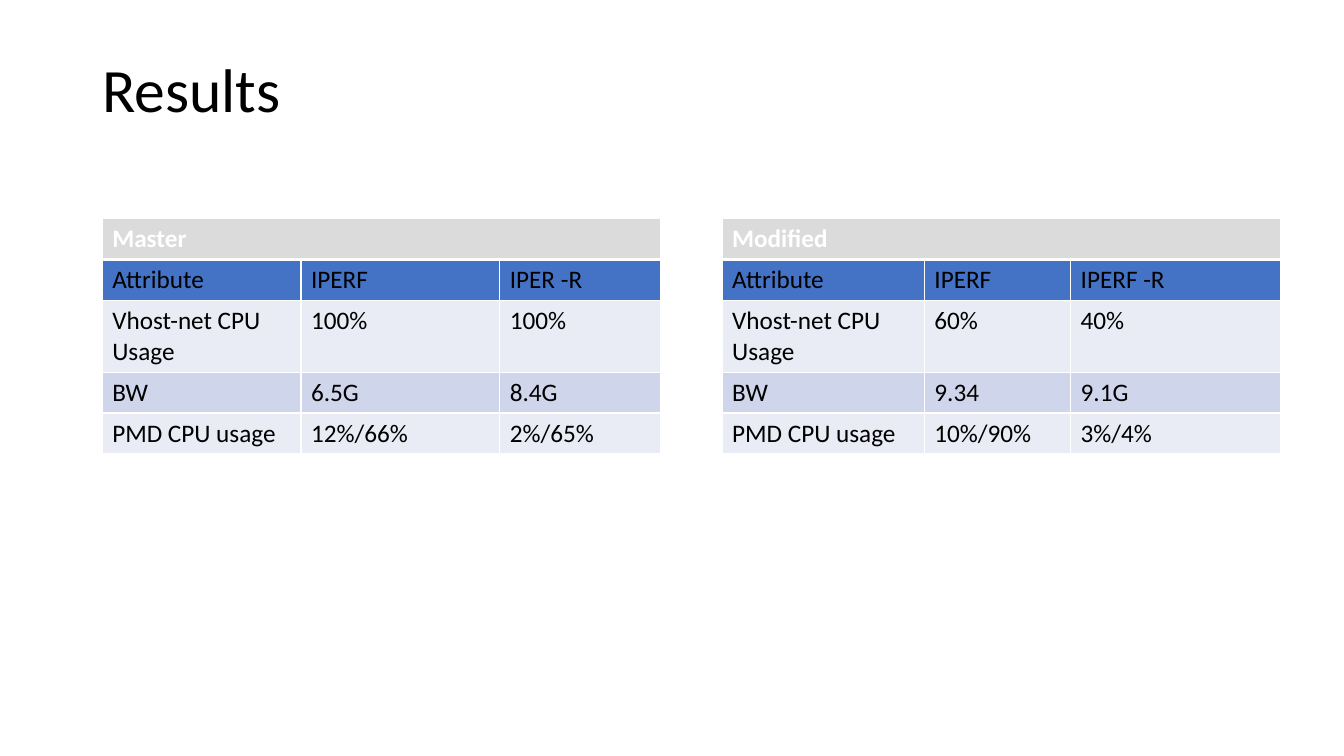
from pptx import Presentation
from pptx.dml.color import RGBColor
from pptx.enum.text import MSO_ANCHOR, PP_ALIGN
from pptx.oxml.ns import qn
from pptx.util import Pt
from lxml import etree

MIDDLE = MSO_ANCHOR.MIDDLE
LEFT = PP_ALIGN.LEFT
FONT = "Calibri"
WHITE, BLACK = "FFFFFF", "000000"
ROW_FILLS = ["DBDBDB", "4472C4", "E9EBF5", "CFD5EA", "E9EBF5"]
ROW_HEIGHTS = [29.2, 29.2, 51.2, 29.2, 29.2]
TABLE_TOP = 156.24

MASTER = [
    ["Master", "", ""],
    ["Attribute", "IPERF", "IPER -R"],
    ["Vhost-net CPU Usage", "100%", "100%"],
    ["BW", "6.5G", "8.4G"],
    ["PMD CPU usage", "12%/66%", "2%/65%"],
]
MODIFIED = [
    ["Modified", "", ""],
    ["Attribute", "IPERF", "IPERF -R"],
    ["Vhost-net CPU Usage", "60%", "40%"],
    ["BW", "9.34", "9.1G"],
    ["PMD CPU usage", "10%/90%", "3%/4%"],
]


def color(hex_code):
    return RGBColor.from_string(hex_code)


def add_run(paragraph, text, size, hex_code, bold=False):
    run = paragraph.add_run()
    run.text = text
    run.font.name = FONT
    run.font.size = Pt(size)
    run.font.bold = bold
    run.font.color.rgb = color(hex_code)


def set_borders(cell, widths):
    properties = cell._tc.get_or_add_tcPr()
    for side, width in zip("LRTB", widths):
        line = etree.SubElement(properties, qn(f"a:ln{side}"), w=str(Pt(width)))
        solid = etree.SubElement(line, qn("a:solidFill"))
        etree.SubElement(solid, qn("a:srgbClr"), val=WHITE)


def add_title(slide, left, top, width, height):
    title = slide.shapes.title
    title.left, title.top = Pt(left), Pt(top)
    title.width, title.height = Pt(width), Pt(height)
    title.text_frame.vertical_anchor = MIDDLE
    heading = title.text_frame.paragraphs[0]
    heading.alignment = LEFT
    heading.line_spacing = 0.9
    add_run(heading, "Results", 44, BLACK)


def add_results(slide, left, top, column_widths, results):
    table = slide.shapes.add_table(
        len(results), len(column_widths), Pt(left), Pt(top),
        Pt(sum(column_widths)), Pt(sum(ROW_HEIGHTS))).table
    for column, width in zip(table.columns, column_widths):
        column.width = Pt(width)
    for r, values in enumerate(results):
        table.rows[r].height = Pt(ROW_HEIGHTS[r])
        is_heading = r == 0
        for c, value in enumerate(values):
            cell = table.cell(r, c)
            set_borders(cell, [1, 1, 3 if r == 1 else 1, 3 if is_heading else 1])
            cell.fill.solid()
            cell.fill.fore_color.rgb = color(ROW_FILLS[r])
            if value:
                add_run(cell.text_frame.paragraphs[0], value, 18,
                        WHITE if is_heading else BLACK, is_heading)
    table.cell(0, 0).merge(table.cell(0, len(column_widths) - 1))


def main():
    deck = Presentation()
    deck.slide_width, deck.slide_height = Pt(960), Pt(540)
    slide = deck.slides.add_slide(deck.slide_layouts[5])
    add_title(slide, 66, 13.8, 828, 104.4)
    add_results(slide, 515.8, TABLE_TOP, [144.5, 104.5, 150], MODIFIED)
    add_results(slide, 73, TABLE_TOP, [142, 142, 115], MASTER)
    deck.save("out.pptx")


if __name__ == "__main__":
    main()
